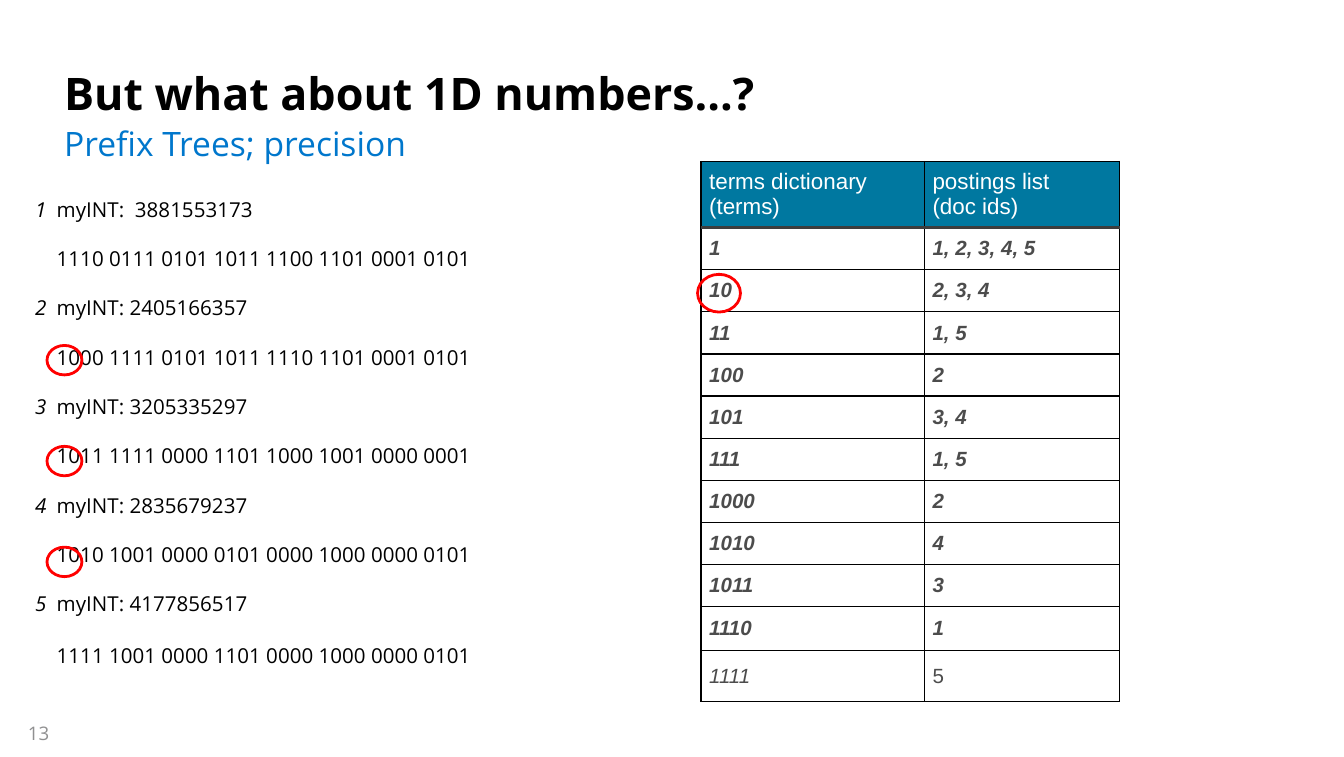
from dataclasses import dataclass

from lxml.etree import SubElement
from pptx import Presentation
from pptx.dml.color import RGBColor
from pptx.enum.shapes import MSO_SHAPE
from pptx.enum.text import MSO_ANCHOR, MSO_AUTO_SIZE, PP_ALIGN
from pptx.oxml.ns import qn
from pptx.util import Pt


@dataclass(frozen=True)
class Theme:
    """Hold the colours, fonts and type sizes of the slide."""

    black: str = "000000"
    white: str = "FFFFFF"
    blue: str = "0077CC"
    header: str = "0078A0"
    rule: str = "3D3D3D"
    cell: str = "4C4C4C"
    muted: str = "909091"
    red: str = "FF0000"
    text_font: str = "Open Sans"
    table_font: str = "Arial"
    title_size: float = 24
    subtitle_size: float = 18
    header_size: float = 12
    body_size: float = 11
    number_size: float = 10


THEME = Theme()

RECORDS = [
    ("1", "myINT:  3881553173", "1110 0111 0101 1011 1100 1101 0001 0101"),
    ("2", "myINT: 2405166357", "1000 1111 0101 1011 1110 1101 0001 0101"),
    ("3", "myINT: 3205335297", "1011 1111 0000 1101 1000 1001 0000 0001"),
    ("4", "myINT: 2835679237", "1010 1001 0000 0101 0000 1000 0000 0101"),
    ("5", "myINT: 4177856517", "1111 1001 0000 1101 0000 1000 0000 0101"),
]

POSTINGS = [
    ("terms dictionary\n(terms)", "postings list\n(doc ids)"),
    ("1", "1, 2, 3, 4, 5"),
    ("10", "2, 3, 4"),
    ("11", "1, 5"),
    ("100", "2"),
    ("101", "3, 4"),
    ("111", "1, 5"),
    ("1000", "2"),
    ("1010", "4"),
    ("1011", "3"),
    ("1110", "1"),
    ("1111", "5"),
]


def apply_format(target, values):
    """Set each attribute named in values on the target."""
    for name, value in values.items():
        setattr(target, name, value)


def add_run(paragraph, text, size, color, font=THEME.text_font, bold=False, italic=False):
    """Append a formatted run to the paragraph."""
    run = paragraph.add_run()
    run.text = text
    apply_format(run.font, {"size": Pt(size), "name": font, "bold": bold, "italic": italic})
    run.font.color.rgb = RGBColor.from_string(color)


def place(shape, box):
    """Move the shape to the box of left, top, width and height."""
    names = ("left", "top", "width", "height")
    apply_format(shape, dict(zip(names, map(Pt, box))))


def set_frame(frame, anchor=MSO_ANCHOR.TOP, top=3.6):
    """Give the text frame its wrapping, anchor and insets."""
    apply_format(frame, {
        "word_wrap": True, "auto_size": MSO_AUTO_SIZE.NONE, "vertical_anchor": anchor,
        "margin_left": Pt(7.2), "margin_right": Pt(7.2),
        "margin_top": Pt(top), "margin_bottom": Pt(3.6),
    })


def fill_placeholder(shape, box, text, anchor, spacing, **style):
    """Place a heading placeholder and write its line."""
    place(shape, box)
    set_frame(shape.text_frame, anchor)
    paragraph = shape.text_frame.paragraphs[0]
    properties = paragraph._p.get_or_add_pPr()
    properties.set("marL", "0")
    properties.set("indent", "0")
    SubElement(properties, qn("a:buNone"))
    apply_format(paragraph, {
        "alignment": PP_ALIGN.LEFT, "line_spacing": spacing, "space_before": Pt(0),
    })
    add_run(paragraph, text, **style)


def add_headings(slide, box):
    """Write the title and the subtitle below it."""
    left, top, width, height = box
    title_height = 60.5
    subtitle_offset = 58.3
    fill_placeholder(
        slide.shapes.title, (left, top, width, title_height),
        "But what about 1D numbers...?", MSO_ANCHOR.BOTTOM, 0.9,
        size=THEME.title_size, color=THEME.black, bold=True)
    fill_placeholder(
        slide.placeholders[1], (left, top + subtitle_offset, width, height - subtitle_offset),
        "Prefix Trees; precision", MSO_ANCHOR.TOP, 0.85,
        size=THEME.subtitle_size, color=THEME.blue)


def add_ring(slide, box):
    """Draw a red ring in the box."""
    ring = slide.shapes.add_shape(MSO_SHAPE.OVAL, *map(Pt, box))
    ring.shadow.inherit = False
    ring.fill.background()
    ring.line.color.rgb = RGBColor.from_string(THEME.red)
    ring.line.width = Pt(1.5)


def add_records(slide, box):
    """List the numbers with their bits and ring the shared prefixes."""
    left, top, width, height = box
    indent = Pt(11.6)
    frame = slide.shapes.add_textbox(*map(Pt, box)).text_frame
    set_frame(frame, top=6.7)
    lines = [line for number, value, bits in RECORDS for line in ((number, value), ("", bits))]
    for index, (number, text) in enumerate(lines):
        paragraph = frame.add_paragraph() if index else frame.paragraphs[0]
        properties = paragraph._p.get_or_add_pPr()
        properties.set("marL", str(indent))
        properties.set("indent", str(-indent if number else 0))
        gap = 0 if index == 0 else 14.7 if index == len(lines) - 1 else 13.2
        paragraph.space_before = Pt(gap)
        if number:
            add_run(paragraph, number, THEME.body_size, THEME.black, italic=True)
            text = "\t" + text
        add_run(paragraph, text, THEME.body_size, THEME.black)
    for step in range(3):
        add_ring(slide, (left + 13.5, top + 86.4 + 54 * step, 18.7, 15.8))


def set_borders(cell, **edges):
    """Draw the cell edges, each given as a colour and a width."""
    properties = cell._tc.get_or_add_tcPr()
    for side in "LRTB":
        color, width = edges.get(side, (THEME.black, 0.75))
        line = SubElement(properties, qn(f"a:ln{side}"), w=str(Pt(width)))
        SubElement(SubElement(line, qn("a:solidFill")), qn("a:srgbClr"), val=color)


def add_postings(slide, box):
    """Build the terms table and ring the shared term."""
    left, top, width, height = box
    table = slide.shapes.add_table(len(POSTINGS), 2, *map(Pt, box)).table
    apply_format(table, {"first_row": False, "horz_banding": False})
    for column, share in zip(table.columns, (119.7, width - 119.7)):
        column.width = Pt(share)
    last = len(POSTINGS) - 1
    heights = {0: 34.4, last - 1: 23.6, last: 27.4}
    heavy = (THEME.rule, 2)
    for row, texts in enumerate(POSTINGS):
        table.rows[row].height = Pt(heights.get(row, 22.56))
        edges = {0: {"B": heavy}, 1: {"T": heavy}}.get(row, {})
        style = {
            "size": THEME.body_size if row else THEME.header_size,
            "color": THEME.cell if row else THEME.white,
            "font": THEME.table_font,
            "bold": 0 < row < last,
        }
        for column, text in enumerate(texts):
            cell = table.cell(row, column)
            set_borders(cell, **edges)
            cell.fill.solid()
            cell.fill.fore_color.rgb = RGBColor.from_string(THEME.white if row else THEME.header)
            sides = ("left", "right", "top", "bottom")
            apply_format(cell, {f"margin_{side}": Pt(4.32) for side in sides})
            cell.vertical_anchor = MSO_ANCHOR.MIDDLE
            italic = 0 < row < last or (row == last and column == 0)
            for index, line in enumerate(text.split("\n")):
                frame = cell.text_frame
                paragraph = frame.add_paragraph() if index else frame.paragraphs[0]
                add_run(paragraph, line, italic=italic, **style)
    add_ring(slide, (left - 1.9, top + 60.5, 23, 20.2))


def add_page_number(slide, box):
    """Write the page number in the corner."""
    frame = slide.shapes.add_textbox(*map(Pt, box)).text_frame
    set_frame(frame)
    add_run(frame.paragraphs[0], "13", THEME.number_size, THEME.muted)


def main():
    """Build the slide and save it."""
    presentation = Presentation()
    apply_format(presentation, {"slide_width": Pt(720), "slide_height": Pt(405.36)})
    slide = presentation.slides.add_slide(presentation.slide_layouts[1])
    add_page_number(slide, (7.9, 383, 79.2, 21.6))
    add_headings(slide, (27.1, 7.2, 627, 85.7))
    add_postings(slide, (375.6, 86.4, 224.1, 288.4))
    add_records(slide, (11.7, 98.6, 323.3, 295.9))
    presentation.save("out.pptx")


if __name__ == "__main__":
    main()
